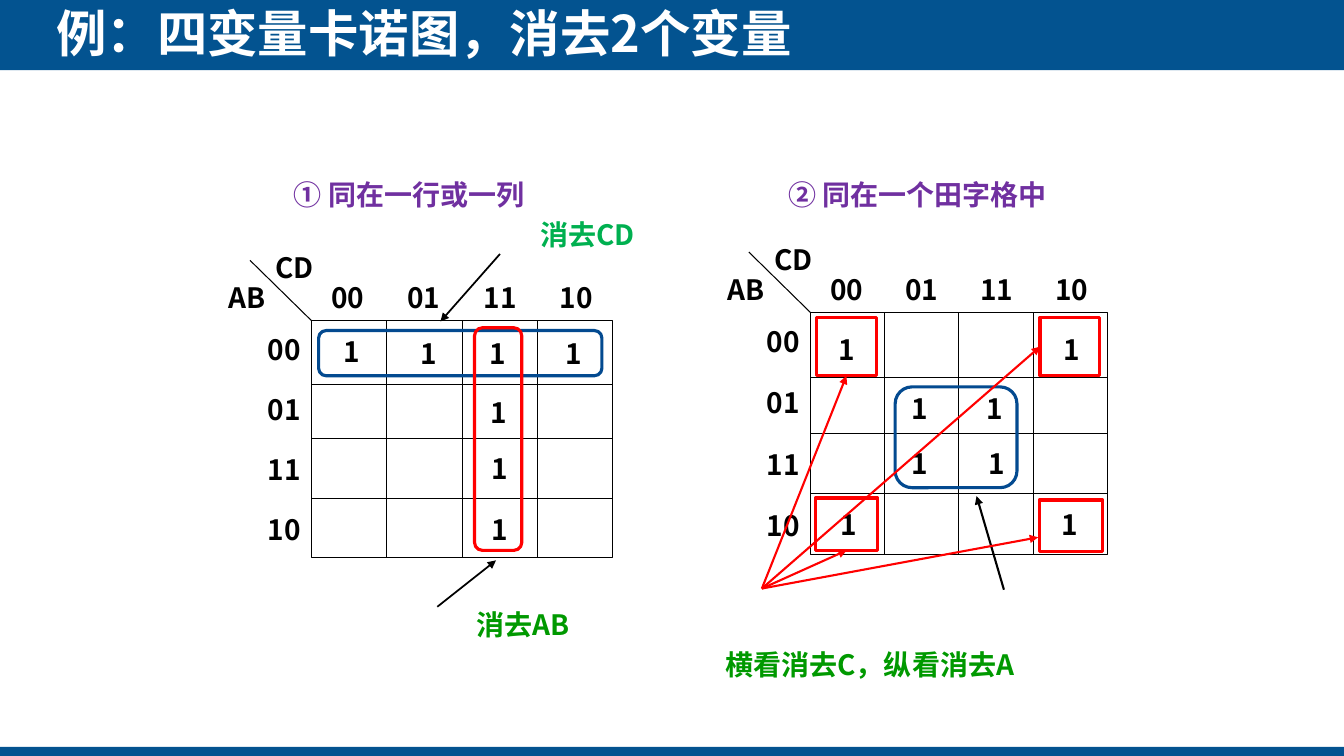
from lxml.etree import SubElement
from pptx import Presentation
from pptx.dml.color import RGBColor
from pptx.enum.shapes import MSO_CONNECTOR as Link, MSO_SHAPE as Kind
from pptx.enum.text import MSO_ANCHOR as Anchor, MSO_AUTO_SIZE as Fit, PP_ALIGN as Align
from pptx.oxml.ns import qn
from pptx.util import Cm, Pt

FONT = "Noto Sans CJK SC"
BLACK, WHITE, RED = "000000", "FFFFFF", "FF0000"
BAR, LOOP = "035390", "034A90"
PURPLE, MINT, GREEN = "7030A0", "00B050", "009900"
CODES = ["00", "01", "11", "10"]
TEXT_H = 1.12


def rgb(code):
    return RGBColor.from_string(code)


def write(frame, text, size=20, color=BLACK, align=Align.LEFT):
    para = frame.paragraphs[0]
    para.alignment = align
    run = para.add_run()
    run.text = text
    font = run.font
    font.size, font.bold = Pt(size), True
    font.color.rgb = rgb(color)
    font.name = FONT
    SubElement(run._r.get_or_add_rPr(), qn("a:ea"), typeface=FONT)


def label(slide, text, x, y, width, wrap=False, **style):
    box = slide.shapes.add_textbox(Cm(x), Cm(y), Cm(width), Cm(TEXT_H))
    frame = box.text_frame
    frame.word_wrap = wrap
    frame.auto_size = Fit.SHAPE_TO_FIT_TEXT
    write(frame, text, **style)


def block(slide, area, kind=Kind.RECTANGLE, fill=None, line=None, weight=2.25):
    shape = slide.shapes.add_shape(kind, *map(Cm, area))
    shape.shadow.inherit = False
    if fill:
        shape.fill.solid()
        shape.fill.fore_color.rgb = rgb(fill)
    else:
        shape.fill.background()
    if line:
        shape.line.color.rgb = rgb(line)
        shape.line.width = Pt(weight)
    else:
        shape.line.fill.background()
    return shape


def loop(slide, area, color):
    block(slide, area, Kind.ROUNDED_RECTANGLE, line=color)


def rule(slide, start, end, color=BLACK, weight=0.75):
    line = slide.shapes.add_connector(Link.STRAIGHT, *map(Cm, start + end))
    line.line.color.rgb = rgb(color)
    line.line.width = Pt(weight)
    SubElement(line._element.spPr, qn("a:effectLst"))
    return line


def arrow(slide, start, end, color=BLACK, weight=1.25):
    line = rule(slide, start, end, color, weight)
    SubElement(line.line._get_or_add_ln(), qn("a:tailEnd"), type="triangle")
    return line


def kmap(slide, area, rows, ones):
    """Draw a four-variable map; rows are the offsets of its inner lines."""
    x, y, width, height = area
    block(slide, area, line=BLACK, weight=0.75)
    for i in range(1, 4):
        col = x + i * width / 4
        rule(slide, (col, y), (col, y + height))
    for row in rows:
        rule(slide, (x, y + row), (x + width, y + row))
    rule(slide, (x, y), (x - 1.55, y - 1.52))
    label(slide, "AB", x - 2.34, y - 1.14, 1.52)
    label(slide, "CD", x - 1.16, y - 1.89, 1.55)
    for i, code in enumerate(CODES):
        label(slide, code, x - 1.35, y + 0.18 + i * (height / 4 + 0.02), 1.4)
        label(slide, code, x + 0.25 + i * (width / 4 + 0.02), y - 1.14, 1.4)
    for left, top in ones:
        label(slide, "1", left, top, 0.95)


def head(slide, text):
    title = slide.shapes.title
    title.left, title.top, title.width, title.height = map(Cm, (1.42, 0.05, 21.77, 1.55))
    frame = title.text_frame
    frame.margin_left = frame.margin_right = frame.margin_top = frame.margin_bottom = 0
    frame.vertical_anchor = Anchor.MIDDLE
    frame.auto_size = Fit.NONE
    write(frame, text, size=36, color=WHITE)
    for top, height in [(-0.08, 1.85), (18.82, 0.25)]:
        bar = block(slide, (0, top, 33.87, height), fill=BAR)
        title.element.addprevious(bar.element)


def line_map(slide):
    label(slide, "① 同在一行或一列", 7.16, 4.34, 9.8, wrap=True, color=PURPLE)
    ones = [(8.41, 8.31), (10.34, 8.36), (12.09, 8.36), (14, 8.36),
            (12.12, 9.83), (12.14, 11.25), (12.14, 12.78)]
    kmap(slide, (7.85, 8.08, 7.59, 5.97), (1.62, 2.97, 4.47), ones)
    loop(slide, (8.03, 8.33, 7.14, 1.14), LOOP)
    loop(slide, (11.96, 8.26, 1.19, 5.61), RED)
    arrow(slide, (12.6, 6.4), (11.1, 8.1))
    arrow(slide, (11.02, 15.29), (12.5, 14.12))
    label(slide, "消去CD", 13.16, 5.36, 3.3, wrap=True, color=MINT, align=Align.CENTER)
    label(slide, "消去AB", 11.76, 15.19, 3.2, wrap=True, color=GREEN)


def square_map(slide):
    label(slide, "② 同在一个田字格中", 19.61, 4.34, 9.6, wrap=True, color=PURPLE)
    ones = [(20.88, 8.26), (26.54, 8.26), (22.71, 9.73), (24.61, 9.73),
            (22.71, 11.13), (24.66, 11.13), (20.93, 12.67), (26.49, 12.67)]
    kmap(slide, (20.42, 7.87, 7.49, 6.1), (1.65, 3.05, 4.57), ones)
    loop(slide, (22.56, 9.75, 3.07, 2.54), LOOP)
    arrow(slide, (25.3, 14.86), (24.61, 12.5), weight=1.5)

    start = (19.2, 14.83)
    corners = [
        ((20.57, 8, 1.52, 1.47), (21.26, 9.53), 2),
        ((26.21, 8, 1.5, 1.47), (26.19, 8.86), 1),
        ((20.55, 12.55, 1.57, 1.32), (21.29, 13.87), 2),
        ((26.19, 12.6, 1.6, 1.3), (26.16, 13.54), None),
    ]
    for area, end, side in corners:
        corner = block(slide, area, line=RED)
        line = arrow(slide, start, end, RED, 1.5)
        if side is not None:
            line.end_connect(corner, side)
    label(slide, "横看消去C，纵看消去A", 18.03, 16.18, 11.4, wrap=True, color=GREEN)


def main():
    deck = Presentation()
    deck.slide_width, deck.slide_height = Cm(33.87), Cm(19.05)
    slide = deck.slides.add_slide(deck.slide_layouts[5])
    head(slide, "例：四变量卡诺图，消去2个变量")
    line_map(slide)
    square_map(slide)
    deck.save("out.pptx")


if __name__ == "__main__":
    main()
